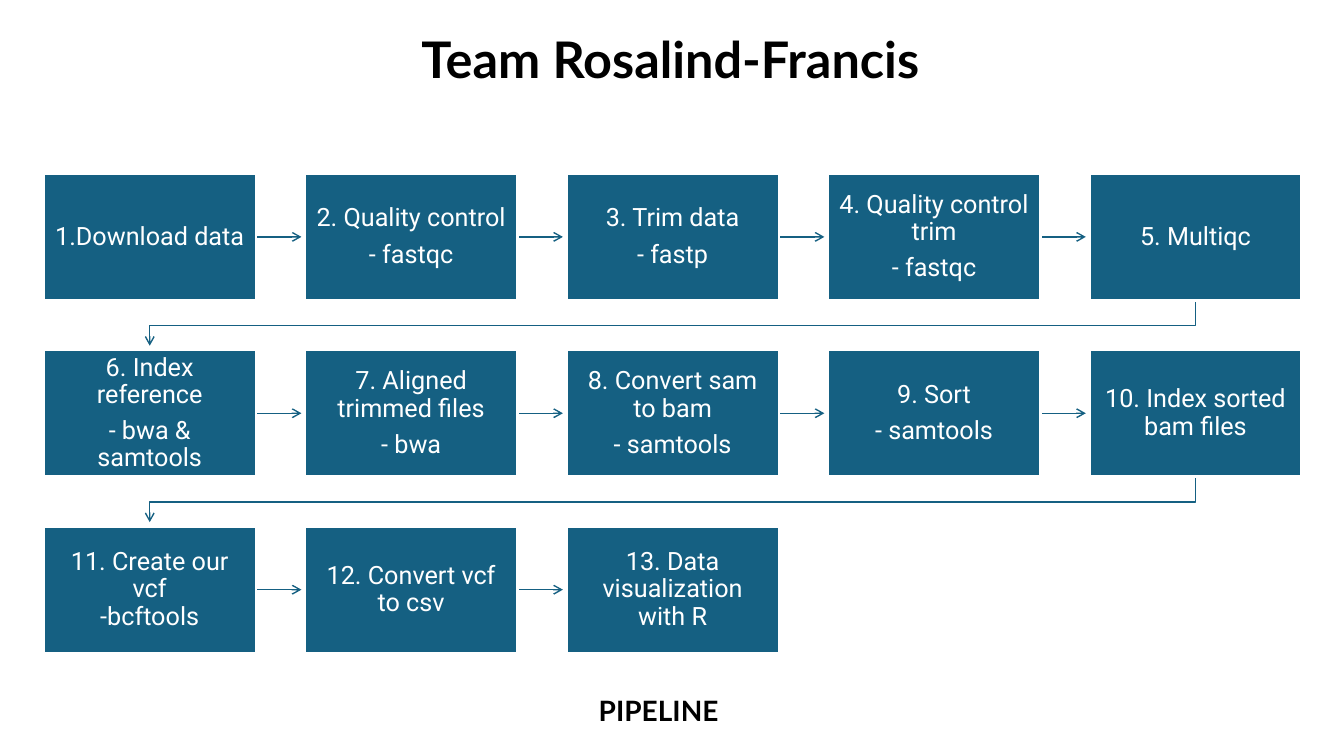
from lxml.etree import SubElement
from pptx import Presentation
from pptx.dml.color import RGBColor
from pptx.enum.shapes import MSO_CONNECTOR, MSO_SHAPE
from pptx.enum.text import MSO_ANCHOR, MSO_AUTO_SIZE, PP_ALIGN
from pptx.oxml.ns import qn
from pptx.util import Inches, Pt

COLORS = {"step": "156082", "edge": "FFFFFF", "step_text": "FFFFFF", "heading": "000000"}
COLUMNS = 5
STEP_WIDTH, STEP_HEIGHT = 2.11, 1.26
COLUMN_PITCH, ROW_PITCH = 2.593, 1.75
ARROW_REACH = 0.45
TURN_DROP = 0.25

STEPS = [
    ["1.Download data"],
    ["2. Quality control", "- fastqc"],
    ["3. Trim data", "- fastp"],
    ["4. Quality control trim", "- fastqc"],
    ["5. Multiqc"],
    ["6. Index reference", "- bwa & samtools"],
    ["7. Aligned trimmed files", "- bwa"],
    ["8. Convert sam to bam", "- samtools"],
    ["9. Sort", "- samtools"],
    ["10. Index sorted bam files"],
    ["11. Create our vcf\n-bcftools"],
    ["12. Convert vcf to csv"],
    ["13. Data visualization with R"],
]

STEP_FRAME = {
    "word_wrap": True,
    "vertical_anchor": MSO_ANCHOR.MIDDLE,
    "margin_left": Inches(0.1),
    "margin_right": Inches(0.1),
    "margin_top": Inches(0.11),
    "margin_bottom": Inches(0.11),
}
STEP_PARAGRAPH = {"alignment": PP_ALIGN.CENTER, "line_spacing": 0.9, "space_after": Pt(6.3)}
STEP_FONT = {"name": "Roboto", "size": Pt(18)}
HEADING_FRAME = {
    "word_wrap": True,
    "auto_size": MSO_AUTO_SIZE.NONE,
    "vertical_anchor": MSO_ANCHOR.TOP,
}


def rgb(role):
    return RGBColor.from_string(COLORS[role])


def apply(target, values):
    for name, value in values.items():
        setattr(target, name, value)


def write(paragraph, words, paragraph_format, font_format, role):
    paragraph.text = words
    apply(paragraph, paragraph_format)
    for run in paragraph.runs:
        apply(run.font, font_format)
        run.font.color.rgb = rgb(role)


def add_heading(holder, box, words, size):
    apply(holder, dict(zip(("left", "top", "width", "height"), map(Inches, box))))
    apply(holder.text_frame, HEADING_FRAME)
    font = {"name": "Lato", "size": Pt(size), "bold": True}
    write(holder.text_frame.paragraphs[0], words, {"alignment": PP_ALIGN.LEFT}, font, "heading")


def style_arrow(arrow):
    arrow.line.color.rgb = rgb("step")
    arrow.line.width = Pt(1)
    outline = arrow.line._get_or_add_ln()
    SubElement(outline, qn("a:tailEnd"), type="arrow")


def add_arrow(slide, left, top):
    middle = top + STEP_HEIGHT / 2
    start = left + STEP_WIDTH
    ends = map(Inches, (start, middle, start + ARROW_REACH, middle))
    arrow = slide.shapes.add_connector(MSO_CONNECTOR.STRAIGHT, *ends)
    style_arrow(arrow)
    SubElement(arrow._element.spPr, qn("a:effectLst"))


def add_row_turn(slide, left, top):
    start = left + STEP_WIDTH / 2
    end = start - (COLUMNS - 1) * COLUMN_PITCH
    bottom = top + STEP_HEIGHT
    level = bottom + TURN_DROP
    corners = [(start, level), (end, level), (end, bottom + ARROW_REACH)]
    builder = slide.shapes.build_freeform(Inches(start), Inches(bottom))
    builder.add_line_segments([(Inches(x), Inches(y)) for x, y in corners], close=False)
    turn = builder.convert_to_shape()
    turn.fill.background()
    turn.shadow.inherit = False
    style_arrow(turn)


def add_step(slide, left, top, lines):
    box = map(Inches, (left, top, STEP_WIDTH, STEP_HEIGHT))
    step = slide.shapes.add_shape(MSO_SHAPE.RECTANGLE, *box)
    step.shadow.inherit = False
    step.fill.solid()
    step.fill.fore_color.rgb = rgb("step")
    step.line.color.rgb = rgb("edge")
    step.line.width = Pt(2)
    frame = step.text_frame
    apply(frame, STEP_FRAME)
    for index, words in enumerate(lines):
        paragraph = frame.add_paragraph() if index else frame.paragraphs[0]
        write(paragraph, words, STEP_PARAGRAPH, STEP_FONT, "step_text")


def add_pipeline(slide, left, top):
    for index, lines in enumerate(STEPS):
        row, column = divmod(index, COLUMNS)
        x, y = left + column * COLUMN_PITCH, top + row * ROW_PITCH
        if index < len(STEPS) - 1:
            link = add_row_turn if column == COLUMNS - 1 else add_arrow
            link(slide, x, y)
        add_step(slide, x, y, lines)


def main():
    deck = Presentation()
    deck.slide_width, deck.slide_height = Inches(13.33), Inches(7.5)
    slide = deck.slides.add_slide(deck.slide_layouts[5])
    add_heading(slide.shapes.title, (4.08, 0.23, 6.67, 0.71), "Team Rosalind-Francis", 36)
    add_pipeline(slide, 0.43, 1.72)
    caption = slide.shapes.add_textbox(0, 0, 0, 0)
    add_heading(caption, (5.84, 6.83, 6.67, 0.44), "PIPELINE", 20)
    deck.save("out.pptx")


if __name__ == "__main__":
    main()
